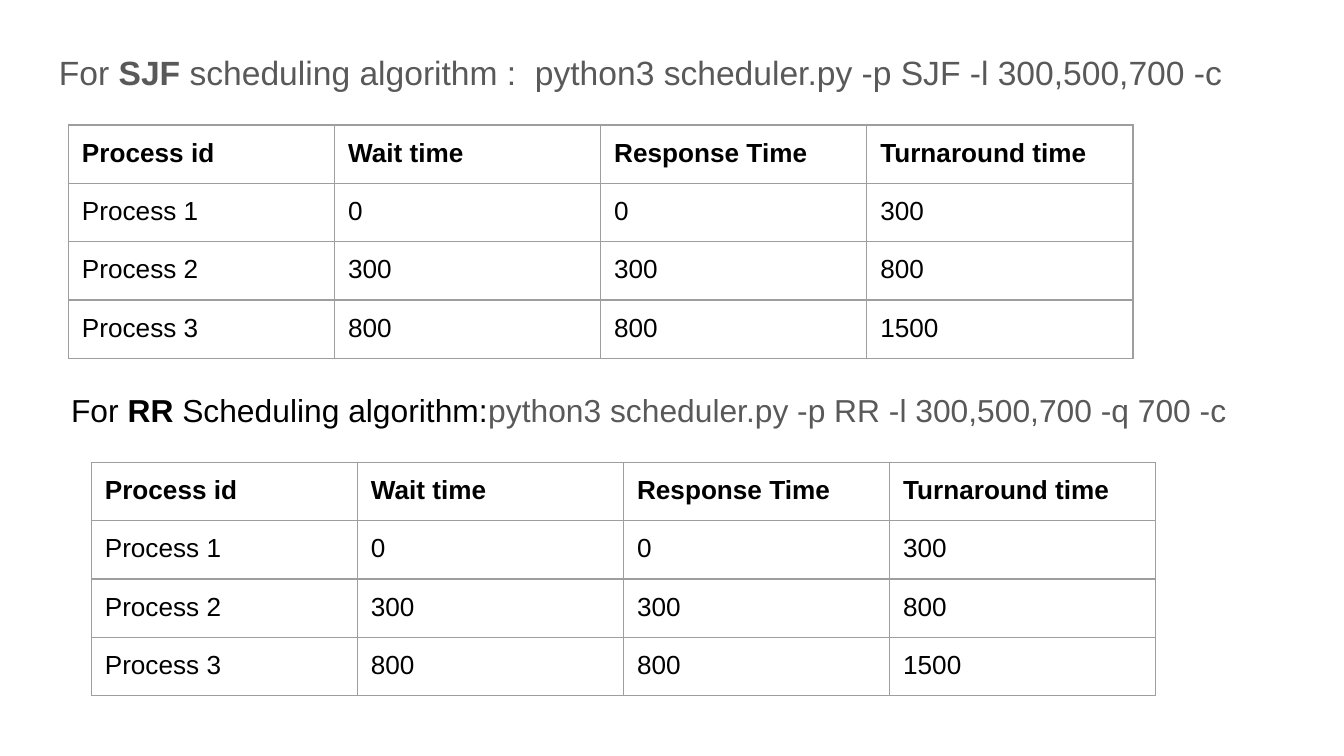
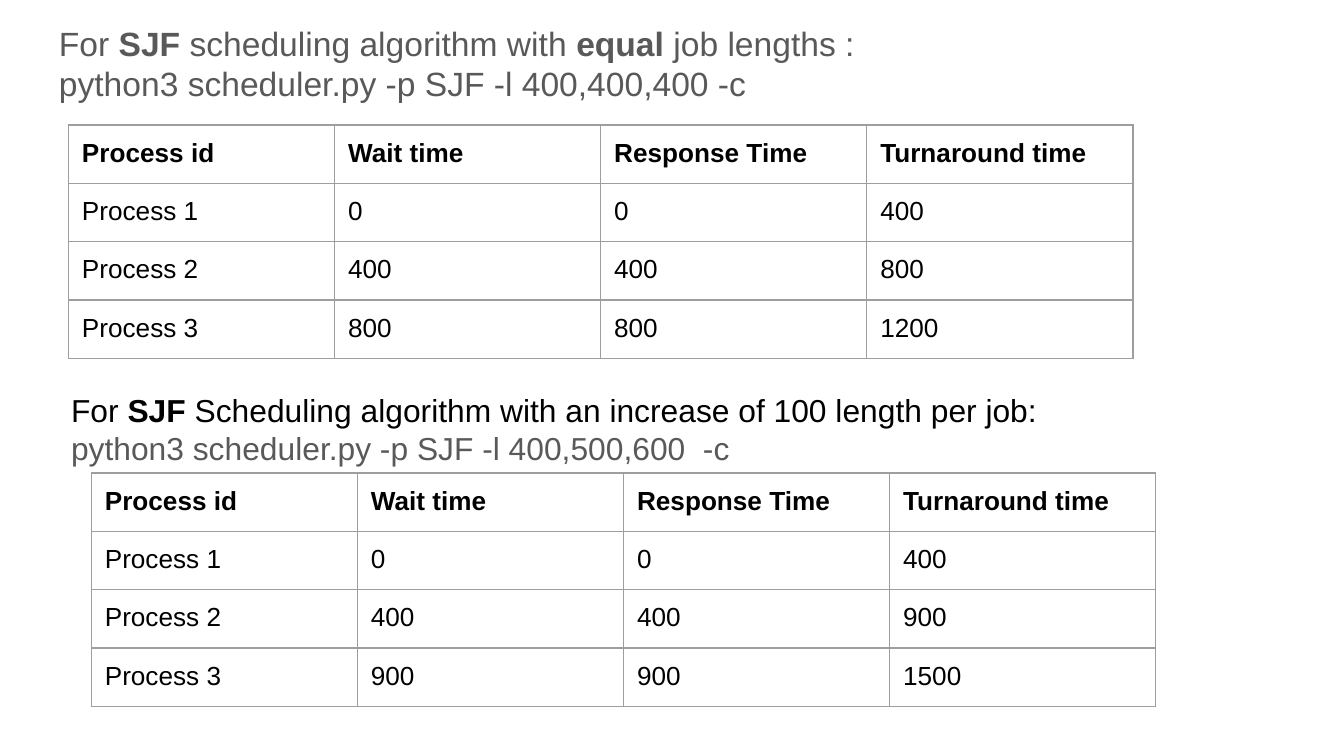
from dataclasses import dataclass
from itertools import accumulate

from lxml.etree import SubElement
from pptx import Presentation
from pptx.dml.color import RGBColor
from pptx.enum.text import MSO_ANCHOR as Anchor
from pptx.oxml.ns import qn
from pptx.util import Emu, Inches, Pt

# Shared style
COLORS = {"page": "FFFFFF", "ink": "000000", "muted": "595959", "rule": "9E9E9E"}
FONT = "Arial"
CELL_SIZE = 14
RULE_WIDTH = Pt(0.75)
INSET = Inches(0.1)

# Page grid: 100 columns across, square modules
PAGE_WIDTH, PAGE_HEIGHT = Inches(10), Inches(5.625)
MODULE = PAGE_WIDTH // 100
CAPTION_COLUMNS = 93.2
TABLE_COLUMN = 19.8
HEADERS = ("Process id", "Wait time", "Response Time", "Turnaround time")


@dataclass(frozen=True)
class Span:
    text: str
    color: str
    bold: bool = False


@dataclass(frozen=True)
class Slot:
    """Place of a caption and its table, in grid modules."""
    caption_left: float
    table_left: float
    row_height: float
    size: int


@dataclass(frozen=True)
class Experiment:
    slot: Slot
    caption_top: float
    caption_rows: float
    table_top: float
    caption: tuple[tuple[Span, ...], ...]
    lengths: tuple[int, ...]


UPPER = Slot(3.4, 5.1, 4.17, 18)
LOWER = Slot(4.3, 6.8, 4.33, 17)

PAGES = (
    (
        Experiment(UPPER, 2.9, 23.7, 9.3, ((
            Span("For", "muted"),
            Span(" SJF", "muted", True),
            Span(" scheduling algorithm :  python3 scheduler.py -p SJF -l 300,500,700 -c", "muted"),
        ),), (300, 500, 700)),
        Experiment(LOWER, 28.1, 9.6, 34.4, ((
            Span("For ", "ink"),
            Span("RR", "ink", True),
            Span(" Scheduling algorithm:", "ink"),
            Span("python3 scheduler.py -p RR -l 300,500,700 -q 700 -c", "muted"),
        ),), (300, 500, 700)),
    ),
    (
        Experiment(UPPER, 0.7, 25.9, 9.3, (
            (
                Span("For", "muted"),
                Span(" SJF", "muted", True),
                Span(" scheduling algorithm with ", "muted"),
                Span("equal", "muted", True),
                Span(" job lengths :", "muted"),
            ),
            (Span("python3 scheduler.py -p SJF -l 400,400,400 -c", "muted"),),
        ), (400, 400, 400)),
        Experiment(LOWER, 28.1, 12.5, 35.2, (
            (
                Span("For ", "ink"),
                Span("SJF", "ink", True),
                Span(" Scheduling algorithm with an increase of 100 length per job:", "ink"),
            ),
            (Span("python3 scheduler.py -p SJF -l 400,500,600  -c", "muted"),),
        ), (400, 500, 600)),
    ),
)


def grid(modules: float) -> Emu:
    return Emu(round(modules * MODULE))


def rgb(name: str) -> RGBColor:
    return RGBColor.from_string(COLORS[name])


def add_span(para, span: Span, size: int) -> None:
    run = para.add_run()
    run.text = span.text
    run.font.name = FONT
    run.font.size = Pt(size)
    run.font.bold = span.bold
    run.font.color.rgb = rgb(span.color)


def set_insets(target) -> None:
    for side in ("left", "top", "right", "bottom"):
        setattr(target, f"margin_{side}", INSET)


def add_caption(page, item: Experiment) -> None:
    box = page.shapes.add_textbox(
        grid(item.slot.caption_left), grid(item.caption_top),
        grid(CAPTION_COLUMNS), grid(item.caption_rows))
    frame = box.text_frame
    frame.word_wrap = True
    frame.vertical_anchor = Anchor.TOP
    set_insets(frame)
    for index, line in enumerate(item.caption):
        para = frame.add_paragraph() if index else frame.paragraphs[0]
        for span in line:
            add_span(para, span, item.slot.size)


def add_borders(cell) -> None:
    properties = cell._tc.get_or_add_tcPr()
    for index, side in enumerate("LRTB"):
        line = SubElement(properties, qn(f"a:ln{side}"), w=str(RULE_WIDTH))
        fill = SubElement(line, qn("a:solidFill"))
        SubElement(fill, qn("a:srgbClr"), val=COLORS["rule"])
        properties.insert(index, line)


def schedule(lengths: tuple[int, ...]) -> list[tuple[str, ...]]:
    """Each job waits for the ones before it, then runs to its end."""
    rows = [HEADERS]
    for number, (length, end) in enumerate(zip(lengths, accumulate(lengths)), 1):
        wait = str(end - length)
        rows.append((f"Process {number}", wait, wait, str(end)))
    return rows


def add_schedule(page, item: Experiment) -> None:
    rows = schedule(item.lengths)
    table = page.shapes.add_table(
        len(rows), len(HEADERS), grid(item.slot.table_left), grid(item.table_top),
        grid(TABLE_COLUMN * len(HEADERS)), grid(item.slot.row_height * len(rows))).table
    table.first_row = table.horz_banding = False
    for column in table.columns:
        column.width = grid(TABLE_COLUMN)
    for row_index, values in enumerate(rows):
        table.rows[row_index].height = grid(item.slot.row_height)
        for column_index, value in enumerate(values):
            cell = table.cell(row_index, column_index)
            cell.fill.background()
            set_insets(cell)
            add_borders(cell)
            span = Span(value, "ink", row_index == 0)
            add_span(cell.text_frame.paragraphs[0], span, CELL_SIZE)


def main() -> None:
    deck = Presentation()
    deck.slide_width, deck.slide_height = PAGE_WIDTH, PAGE_HEIGHT
    for experiments in PAGES:
        page = deck.slides.add_slide(deck.slide_layouts[6])
        page.background.fill.solid()
        page.background.fill.fore_color.rgb = rgb("page")
        for item in experiments:
            add_caption(page, item)
            add_schedule(page, item)
    deck.save("out.pptx")


if __name__ == "__main__":
    main()
